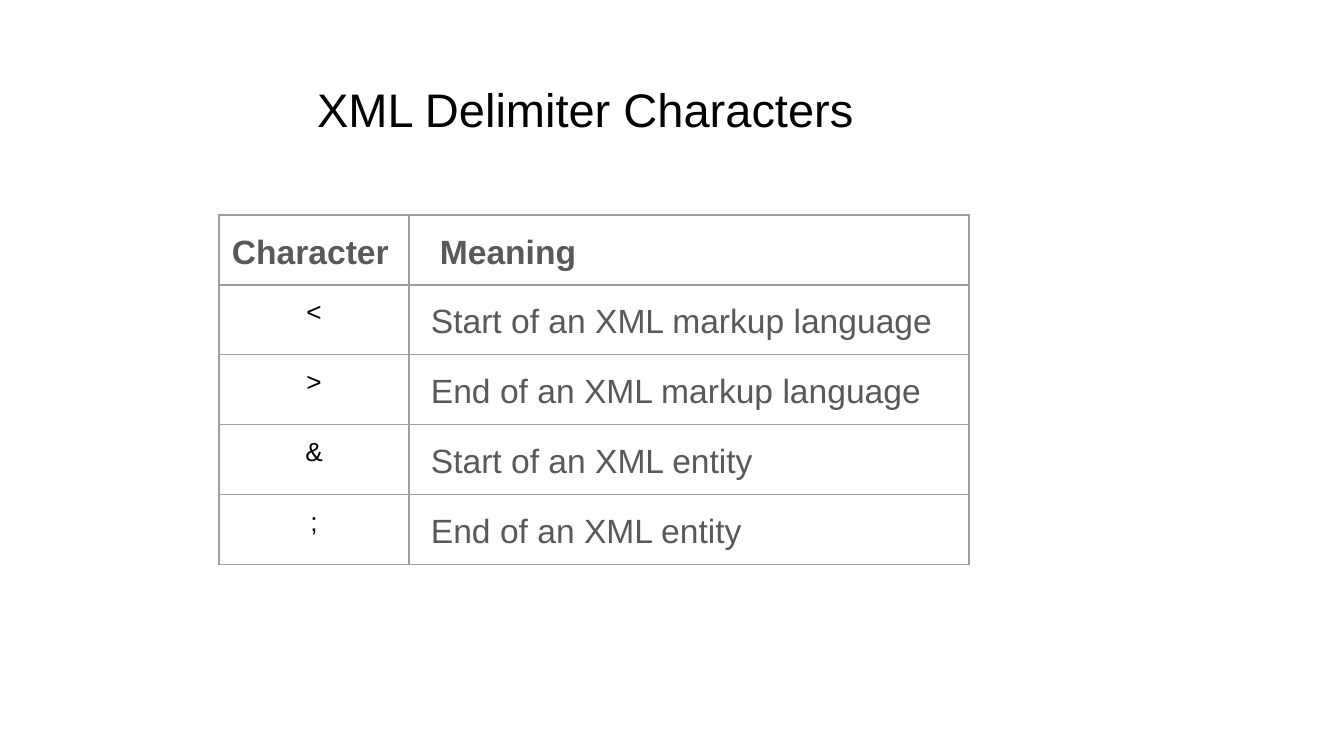
from dataclasses import dataclass

from lxml import etree
from pptx import Presentation
from pptx.dml.color import RGBColor
from pptx.enum.text import MSO_ANCHOR, PP_ALIGN
from pptx.oxml.ns import qn
from pptx.util import Emu, Pt

LEFT, CENTER = PP_ALIGN.LEFT, PP_ALIGN.CENTER
MIDDLE, TOP = MSO_ANCHOR.MIDDLE, MSO_ANCHOR.TOP
EMU_PER_PX = 914400 / 134.4
INSET = 13
SPACE = 9
ROW_HEIGHT = 70
COLUMN_WIDTHS = (190, 560)
BORDER = "9E9E9E"


@dataclass(frozen=True)
class TextStyle:
    size: float
    color: str
    bold: bool = False
    align: PP_ALIGN = LEFT
    spacing: float = 1.0
    after: int = 0
    indent: int = 0


TITLE = TextStyle(25.2, "000000")
HEADING = TextStyle(18, "595959", True, spacing=1.15, after=12)
MEANING_HEADING = TextStyle(18, "595959", True, spacing=1.15, after=12, indent=2 * SPACE)
SYMBOL = TextStyle(14, "000000", align=CENTER)
MEANING = TextStyle(18, "595959", spacing=1.15, after=12, indent=SPACE)

ROWS = (
    ("Character", "Meaning"),
    ("<", "Start of an XML markup language"),
    (">", "End of an XML markup language"),
    ("&", "Start of an XML entity"),
    (";", "End of an XML entity"),
)


def px(value: int) -> Emu:
    return Emu(round(value * EMU_PER_PX))


def rgb(color: str) -> RGBColor:
    return RGBColor.from_string(color)


def set_attributes(target, values: dict) -> None:
    for name, value in values.items():
        setattr(target, name, value)


def set_text(tf, text: str, style: TextStyle) -> None:
    p = tf.paragraphs[0]
    set_attributes(p, {
        "alignment": style.align,
        "line_spacing": style.spacing,
        "space_before": Pt(0),
        "space_after": Pt(style.after),
    })
    r = p.add_run()
    r.text = text
    set_attributes(r.font, {"name": "Arial", "size": Pt(style.size), "bold": style.bold})
    r.font.color.rgb = rgb(style.color)


def set_borders(cell) -> None:
    tc_pr = cell._tc.get_or_add_tcPr()
    for index, side in enumerate(("lnL", "lnR", "lnT", "lnB")):
        line = etree.Element(qn(f"a:{side}"), w=str(Pt(0.75)))
        fill = etree.SubElement(line, qn("a:solidFill"))
        etree.SubElement(fill, qn("a:srgbClr"), val=BORDER)
        tc_pr.insert(index, line)


def format_cell(cell, text: str, style: TextStyle) -> None:
    set_attributes(cell, {
        "margin_left": px(INSET + style.indent),
        "margin_right": px(INSET),
        "margin_top": px(INSET),
        "margin_bottom": px(INSET),
        "vertical_anchor": TOP,
    })
    cell.fill.background()
    set_borders(cell)
    set_text(cell.text_frame, text, style)


def add_title(s, text: str) -> None:
    sp = s.shapes.title
    set_attributes(sp, {"left": px(304), "top": px(66), "width": px(995), "height": px(85)})
    tf = sp.text_frame
    set_attributes(tf, {
        "margin_left": px(INSET),
        "margin_right": px(INSET),
        "margin_top": px(INSET),
        "margin_bottom": px(INSET),
        "vertical_anchor": MIDDLE,
        "word_wrap": True,
    })
    set_text(tf, text, TITLE)


def add_delimiter_table(s) -> None:
    table = s.shapes.add_table(
        len(ROWS), len(COLUMN_WIDTHS), px(219), px(215),
        px(sum(COLUMN_WIDTHS)), px(ROW_HEIGHT * len(ROWS)),
    ).table
    set_attributes(table, {"first_row": False, "horz_banding": False})
    for column, width in zip(table.columns, COLUMN_WIDTHS):
        column.width = px(width)
    for index, texts in enumerate(ROWS):
        table.rows[index].height = px(ROW_HEIGHT)
        styles = (SYMBOL, MEANING) if index else (HEADING, MEANING_HEADING)
        for cell, text, style in zip(table.rows[index].cells, texts, styles):
            format_cell(cell, text, style)


def main() -> None:
    prs = Presentation()
    set_attributes(prs, {"slide_width": px(1344), "slide_height": px(756)})
    s = prs.slides.add_slide(prs.slide_layouts[5])
    s.background.fill.solid()
    s.background.fill.fore_color.rgb = rgb("FFFFFF")
    add_title(s, "XML Delimiter Characters")
    add_delimiter_table(s)
    prs.save("out.pptx")


if __name__ == "__main__":
    main()
